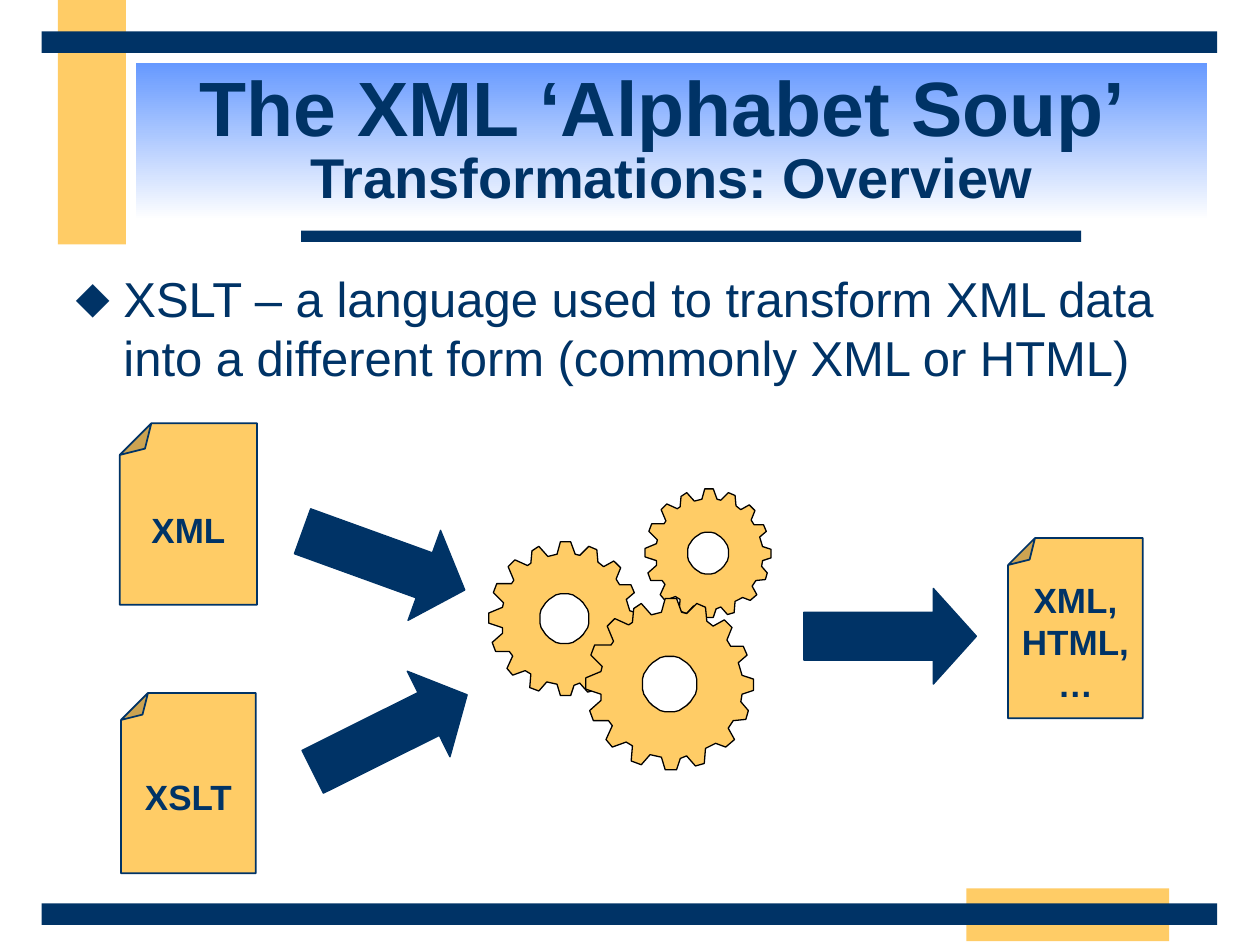
import math

import lxml.etree
import pptx
import pptx.dml.color
import pptx.enum.shapes
import pptx.enum.text
import pptx.oxml.ns
import pptx.util

COLORS = {"navy": "003366", "gold": "FFCC66", "sky": "6699FF",
          "white": "FFFFFF", "black": "000000"}
FONT_NAME = "Arial"
SLIDE_WIDTH, SLIDE_HEIGHT = pptx.util.Inches(10), pptx.util.Inches(7.5)
COLUMNS, ROWS = 100, 75
SHAPES = pptx.enum.shapes.MSO_SHAPE
CENTER = pptx.enum.text.PP_ALIGN.CENTER
FRAME_FORMAT = {"margin_left": pptx.util.Inches(0.1), "margin_right": pptx.util.Inches(0.1),
                "margin_top": pptx.util.Inches(0.05), "margin_bottom": pptx.util.Inches(0.05),
                "auto_size": pptx.enum.text.MSO_AUTO_SIZE.NONE}
MIDDLE = pptx.enum.text.MSO_ANCHOR.MIDDLE
TOP = pptx.enum.text.MSO_ANCHOR.TOP

GEAR_SIZE = (133, 136)
GEAR_HOLE = (66.5, 68, 21.5, 22)
GEAR_TEETH = [
    (60, 11), (63, 0), (72, 0), (76, 11), (80, 12), (88, 4), (95, 7), (96, 18),
    (101, 22), (110, 17), (116, 23), (112, 33), (115, 38), (125, 38), (128, 45), (121, 51),
    (124, 61), (133, 64), (133, 73), (124, 76), (123, 82), (129, 89), (127, 96), (117, 97),
    (113, 103), (118, 112), (111, 118), (103, 115), (95, 119), (94, 131), (87, 133), (80, 125),
    (75, 127), (72, 136), (63, 136), (60, 126), (51, 124), (44, 132), (36, 129), (37, 117),
    (32, 114), (21, 118), (16, 112), (21, 101), (18, 97), (6, 97), (3, 89), (12, 81),
    (12, 76), (0, 72), (0, 63), (12, 58), (13, 54), (4, 45), (7, 37), (20, 37),
    (22, 34), (17, 22), (23, 16), (34, 21), (37, 19), (38, 8), (44, 4), (52, 13)]


def color(name):
    """Return the named colour."""
    return pptx.dml.color.RGBColor.from_string(COLORS[name])


def grid(left, top, width, height):
    """Turn columns and rows into slide lengths."""
    column, row = SLIDE_WIDTH / COLUMNS, SLIDE_HEIGHT / ROWS
    return [round(left * column), round(top * row), round(width * column), round(height * row)]


def apply_format(target, values):
    """Set each named attribute on the target."""
    for name, value in values.items():
        setattr(target, name, value)


def add_element(parent, tag, **attributes):
    """Append a drawing element to an XML parent."""
    return lxml.etree.SubElement(parent, pptx.oxml.ns.qn(tag), **attributes)


def paint(shape, fill, line=None, weight=1):
    """Give a shape a plain fill and an optional outline."""
    shape.shadow.inherit = False
    shape.fill.solid()
    shape.fill.fore_color.rgb = color(fill)
    if line:
        shape.line.color.rgb = color(line)
        shape.line.width = pptx.util.Pt(weight)
    else:
        shape.line.fill.background()


def add_span(para, text, size, bold):
    """Add a formatted run of text."""
    span = para.add_run()
    span.text = text
    apply_format(span.font, {"name": FONT_NAME, "size": pptx.util.Pt(size), "bold": bold})
    span.font.color.rgb = color("navy")


def place(holder, area):
    """Move a placeholder to an area of the grid."""
    apply_format(holder, dict(zip(("left", "top", "width", "height"), grid(*area))))


def add_bar(page, area, fill):
    """Add a decorative bar."""
    paint(page.shapes.add_shape(SHAPES.RECTANGLE, *grid(*area)), fill)


def fill_title(page, heading, subheading):
    """Fill the title placeholder with two lines over a gradient."""
    title = page.shapes.title
    place(title, (10.8, 5, 85, 12.5))
    title.fill.gradient()
    title.fill.gradient_angle = 270
    for stop, position, name in zip(title.fill.gradient_stops, (0, 1), ("sky", "white")):
        stop.position = position
        stop.color.rgb = color(name)
    apply_format(title.text_frame, {**FRAME_FORMAT, "vertical_anchor": MIDDLE, "word_wrap": True})
    para = title.text_frame.paragraphs[0]
    apply_format(para, {"alignment": CENTER, "line_spacing": 0.85})
    add_span(para, heading, 44, True)
    para.add_line_break()
    add_span(para, subheading, 32, True)


def fill_body(page, text):
    """Fill the body placeholder with one bullet."""
    body = page.placeholders[1]
    place(body, (5, 20.8, 90, 49.2))
    apply_format(body.text_frame, {**FRAME_FORMAT, "vertical_anchor": TOP, "word_wrap": True})
    para = body.text_frame.paragraphs[0]
    para.space_before = pptx.util.Pt(0)
    props = para._p.get_or_add_pPr()
    indent = pptx.util.Inches(0.38)
    props.set("marL", str(indent))
    props.set("indent", str(-indent))
    add_element(add_element(props, "a:buClr"), "a:srgbClr", val=COLORS["navy"])
    add_element(props, "a:buFont", typeface=FONT_NAME)
    add_element(props, "a:buChar", char="⬥")
    add_span(para, text, 28, False)


def add_document(page, area, fold, lines):
    """Add a turned sheet with a folded corner and upright text."""
    sheet = page.shapes.add_shape(SHAPES.FOLDED_CORNER, *grid(*area))
    sheet.rotation = 180
    guides = sheet._element.spPr.find(".//" + pptx.oxml.ns.qn("a:avLst"))
    add_element(guides, "a:gd", name="adj", fmla=f"val {round(fold * 100000)}")
    paint(sheet, "gold", "navy")
    frame = sheet.text_frame
    apply_format(frame, {**FRAME_FORMAT, "vertical_anchor": MIDDLE, "word_wrap": False})
    frame._txBody.bodyPr.set("rot", str(180 * 60000))
    para = frame.paragraphs[0]
    para.alignment = CENTER
    for number, line in enumerate(lines):
        if number:
            para.add_line_break()
        add_span(para, line, 20, True)


def add_arrow(page, left, top, angle):
    """Add a block arrow turned by an angle."""
    arrow = page.shapes.add_shape(SHAPES.RIGHT_ARROW, *grid(left, top, 13.7, 7.6))
    arrow.rotation = angle
    arrow.adjustments[1] = 0.45
    paint(arrow, "navy", "navy", 0.75)


def add_gear(page, area):
    """Add a toothed wheel with a round hole."""
    left, top, width, height = grid(*area)
    scale = (width / GEAR_SIZE[0], height / GEAR_SIZE[1])
    middle_x, middle_y, radius_x, radius_y = GEAR_HOLE
    angles = [math.radians(step * 10) for step in range(36)]
    hole = [(middle_x + radius_x * math.sin(angle), middle_y + radius_y * math.cos(angle))
            for angle in angles]
    outline = page.shapes.build_freeform(*GEAR_TEETH[0], scale=scale)
    outline.add_line_segments(GEAR_TEETH[1:], close=True)
    outline.move_to(*hole[0])
    outline.add_line_segments(hole[1:], close=True)
    paint(outline.convert_to_shape(left, top), "gold", "black", 0.75)


def main():
    """Build the slide and save it."""
    deck = pptx.Presentation()
    apply_format(deck, {"slide_width": SLIDE_WIDTH, "slide_height": SLIDE_HEIGHT})
    page = deck.slides.add_slide(deck.slide_layouts[1])
    for area, fill in [((4.6, 0, 5.4, 19.4), "gold"), ((76.7, 70.5, 16.1, 4.2), "gold"),
                       ((23.9, 18.3, 61.9, 0.9), "navy"), ((3.3, 71.7, 93.3, 1.7), "navy"),
                       ((3.3, 2.5, 93.3, 1.7), "navy")]:
        add_bar(page, area, fill)
    fill_title(page, "The XML ‘Alphabet Soup’ ", "Transformations: Overview")
    fill_body(page, "XSLT – a language used to transform XML data into a different form "
                    "(commonly XML or HTML)")
    for area, fold, lines in [((80, 42.7, 10.7, 14.3), 0.2, ["XML,", "HTML,", "…"]),
                              ((9.5, 33.6, 10.9, 14.4), 0.23, ["XML"]),
                              ((9.6, 55, 10.7, 14.3), 0.2, ["XSLT"])]:
        add_document(page, area, fold, lines)
    for area in [(51.2, 38.8, 10, 10.2), (38.8, 43, 12, 12.2), (46.5, 47.5, 13.3, 13.6)]:
        add_gear(page, area)
    for left, top, angle in [(23.6, 40.7, 19.9), (24.1, 54.4, 333.5), (63.8, 46.7, 0)]:
        add_arrow(page, left, top, angle)
    deck.save("out.pptx")


if __name__ == "__main__":
    main()
